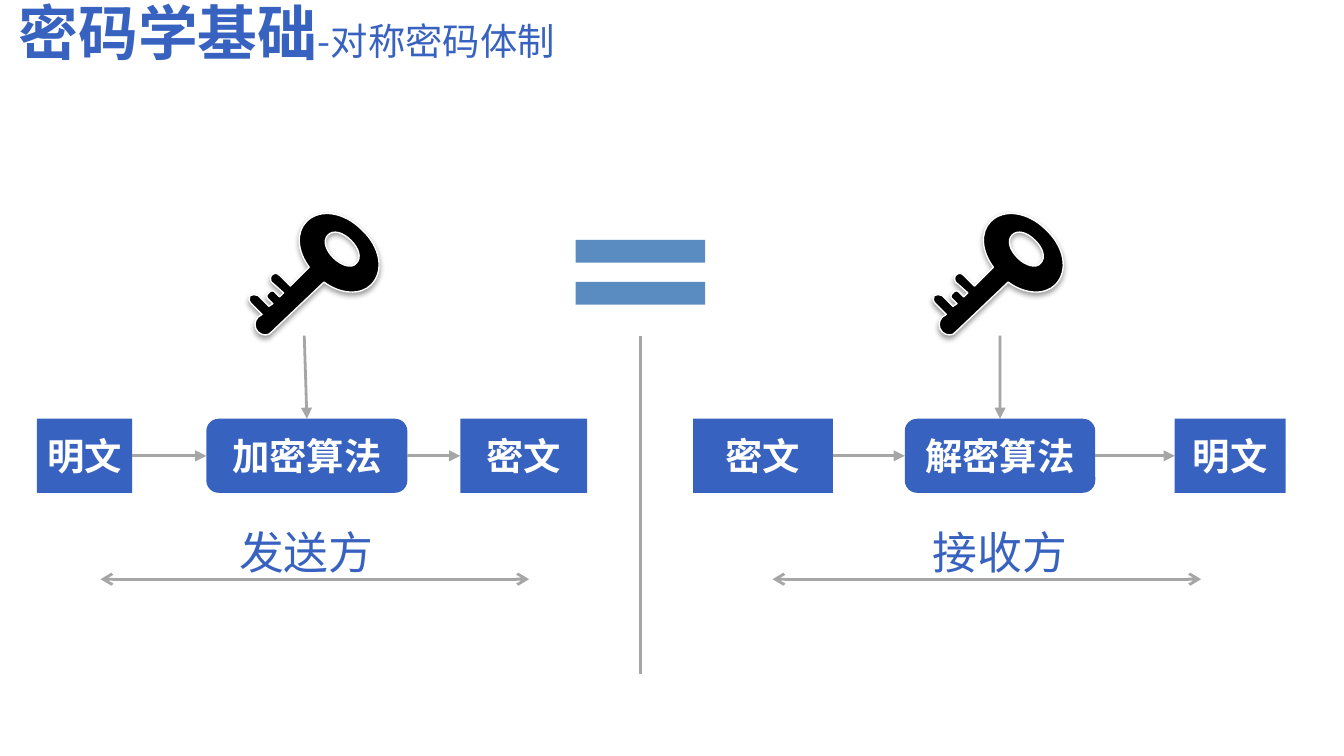
from dataclasses import dataclass

from lxml import etree
from pptx import Presentation
from pptx.dml.color import RGBColor
from pptx.enum.shapes import MSO_CONNECTOR, MSO_SHAPE
from pptx.enum.text import MSO_ANCHOR, MSO_AUTO_SIZE, PP_ALIGN
from pptx.oxml.ns import qn
from pptx.util import Cm, Pt

RECT, ROUND = MSO_SHAPE.RECTANGLE, MSO_SHAPE.ROUNDED_RECTANGLE
EQUAL = MSO_SHAPE.MATH_EQUAL
LINE = MSO_CONNECTOR.STRAIGHT
LEFT, CENTER = PP_ALIGN.LEFT, PP_ALIGN.CENTER
MIDDLE, GROW = MSO_ANCHOR.MIDDLE, MSO_AUTO_SIZE.SHAPE_TO_FIT_TEXT


@dataclass(frozen=True)
class Theme:
    """Colours, font and type sizes."""
    blue: str = "3862C0"
    pale: str = "5B8CC1"
    gray: str = "A6A6A6"
    white: str = "FFFFFF"
    black: str = "000000"
    font: str = "Noto Sans CJK SC"
    title: int = 32
    label: int = 24
    body: int = 20
    rule: float = 1.5


THEME = Theme()

KEY_WIDTH = 2.57
KEY_UNIT = KEY_WIDTH / 101
KEY_BODY = [
    (56, 55), (17, 92), (15, 95, 10, 95, 7, 92), (4, 89, 4, 84, 7, 81),
    (10, 79), (2, 71), (0, 69, 0, 67, 1, 65), (3, 64, 5, 64, 7, 65),
    (15, 73), (18, 71), (15, 68), (13, 67, 13, 64, 15, 63),
    (16, 61, 19, 61, 20, 63), (23, 66), (26, 63), (17, 55),
    (16, 54, 16, 51, 17, 50), (19, 48, 21, 48, 23, 50), (31, 58), (45, 44),
    (36, 32, 35, 18, 43, 10), (53, 0, 71, 3, 84, 16),
    (98, 29, 101, 47, 91, 57), (83, 65, 68, 64, 56, 55),
]
KEY_HOLE = [
    (76, 24), (70, 18, 63, 16, 59, 20), (55, 24, 57, 31, 63, 37),
    (69, 43, 77, 45, 80, 41), (84, 37, 82, 30, 76, 24),
]


def write(para, text, size=THEME.body, color=THEME.white, bold=False, align=LEFT):
    """Add one formatted run to a paragraph."""
    para.alignment = align
    run = para.add_run()
    run.text = text
    font = run.font
    font.size, font.bold, font.name = Pt(size), bold, THEME.font
    font.color.rgb = RGBColor.from_string(color)
    etree.SubElement(font._element, qn("a:ea"), typeface=THEME.font)


def paint(shape, color):
    """Give a shape a flat fill without line or shadow."""
    shape.shadow.inherit = False
    shape.fill.solid()
    shape.fill.fore_color.rgb = RGBColor.from_string(color)
    shape.line.fill.background()


def draw_line(slide, start, end, **tips):
    """Draw a gray line with optional headEnd and tailEnd tips."""
    rule = slide.shapes.add_connector(LINE, *map(Cm, start + end))
    rule.line.color.rgb = RGBColor.from_string(THEME.gray)
    rule.line.width = Pt(THEME.rule)
    edge = rule.line._get_or_add_ln()
    for tag, kind in tips.items():
        etree.SubElement(edge, qn(f"a:{tag}"), type=kind)
    etree.SubElement(rule._element.spPr, qn("a:effectLst"))


def draw_box(slide, text, box, kind):
    """Draw a blue box with centred text."""
    shape = slide.shapes.add_shape(kind, *map(Cm, box))
    paint(shape, THEME.blue)
    frame = shape.text_frame
    frame.word_wrap, frame.vertical_anchor = False, MIDDLE
    write(frame.paragraphs[0], text, bold=True, align=CENTER)


def trace(path, parts):
    """Add a closed outline of cubic curves to a path element."""
    for i, part in enumerate(parts):
        curve = part if len(part) == 6 or i == 0 else part * 3
        tag = "a:cubicBezTo" if i else "a:moveTo"
        node = etree.SubElement(path, qn(tag))
        for x, y in zip(curve[::2], curve[1::2]):
            etree.SubElement(node, qn("a:pt"), x=str(Cm(x * KEY_UNIT)),
                             y=str(Cm(y * KEY_UNIT)))
    etree.SubElement(path, qn("a:close"))


def draw_key(slide, left, top):
    """Draw a black key with a soft shadow."""
    wide, high = Cm(KEY_WIDTH), Cm(94 * KEY_UNIT)
    pen = slide.shapes.build_freeform(0, 0)
    pen.add_line_segments([(wide, 0), (wide, high)])
    key = pen.convert_to_shape(Cm(left), Cm(top))
    path = key._element.spPr.find(".//" + qn("a:path"))
    for node in list(path):
        path.remove(node)
    trace(path, KEY_BODY)
    trace(path, KEY_HOLE)
    paint(key, THEME.black)
    key.line.color.rgb = RGBColor.from_string(THEME.white)
    key.line.width = 0
    effects = key._element.spPr.find(qn("a:effectLst"))
    shade = etree.SubElement(effects, qn("a:outerShdw"), blurRad=str(Pt(3.1)),
                             dist=str(Pt(1.6)), dir="5400000", rotWithShape="0")
    tint = etree.SubElement(shade, qn("a:srgbClr"), val=THEME.black)
    etree.SubElement(tint, qn("a:alpha"), val="38000")


def draw_label(slide, text, box):
    """Place a blue caption."""
    frame = slide.shapes.add_textbox(*map(Cm, box)).text_frame
    frame.margin_left = frame.margin_right = 0
    frame.margin_top = frame.margin_bottom = 0
    frame.word_wrap, frame.auto_size = False, GROW
    frame.vertical_anchor = MIDDLE
    write(frame.paragraphs[0], text, size=THEME.label, color=THEME.blue)


def draw_side(slide, left, top, steps, key, drop, party, name, span):
    """Draw one party: key, flow of three boxes, caption and span arrow."""
    row, high = top + 3.98, 1.4
    mid = row + high / 2
    for i, (text, x, width) in enumerate(steps):
        kind = ROUND if i == 1 else RECT
        draw_box(slide, text, (left + x, row, width, high), kind)
    for (_, x, width), (_, after, _) in zip(steps, steps[1:]):
        draw_line(slide, (left + x + width, mid), (left + after, mid),
                  tailEnd="triangle")
    _, x, width = steps[1]
    draw_line(slide, (left + drop, top + 2.41), (left + x + width / 2, row),
              tailEnd="triangle")
    draw_key(slide, left + key, top)
    base = top + 7.01
    draw_line(slide, (left + span, base), (left + span + 8.1, base),
              headEnd="arrow", tailEnd="arrow")
    draw_label(slide, party, (left + name, top + 5.98, KEY_WIDTH, 1.02))


def draw_title(slide, left, top, width, height):
    """Fill the title placeholder with heading and topic."""
    title = slide.shapes.title
    title.left, title.top = Cm(left), Cm(top)
    title.width, title.height = Cm(width), Cm(height)
    frame = title.text_frame
    frame.vertical_anchor, frame.margin_top = MIDDLE, Cm(0.36)
    para = frame.paragraphs[0]
    para.line_spacing = 0.9
    write(para, "密码学基础", size=THEME.title, color=THEME.blue, bold=True)
    write(para, "-对称密码体制", color=THEME.blue)


def draw_center(slide, left, top, width, height):
    """Draw the equal sign and the divider below it."""
    sign = slide.shapes.add_shape(EQUAL, *map(Cm, (left, top, width, 3.07)))
    paint(sign, THEME.pale)
    sign.adjustments[0], sign.adjustments[1] = 0.14, 0.118
    mid = left + width / 2
    draw_line(slide, (mid, top + 2.74), (mid, top + height))


def main():
    """Build and save the slide."""
    deck = Presentation()
    deck.slide_width, deck.slide_height = Cm(25.4), Cm(14.28)
    slide = deck.slides.add_slide(deck.slide_layouts[5])
    draw_title(slide, 0.1, -0.05, 14.33, 1.24)
    draw_side(slide, 0.7, 3.93,
              [("明文", 0, 1.8), ("加密算法", 3.2, 3.8), ("密文", 8, 2.4)],
              key=4, drop=5.05, party="发送方", name=3.82, span=1.2)
    draw_side(slide, 13.1, 3.93,
              [("密文", 0, 2.64), ("解密算法", 4, 3.6), ("明文", 9.1, 2.1)],
              key=4.53, drop=5.8, party="接收方", name=4.53, span=1.5)
    draw_center(slide, 10.44, 3.61, 3.33, 9.13)
    deck.save("out.pptx")


if __name__ == "__main__":
    main()
